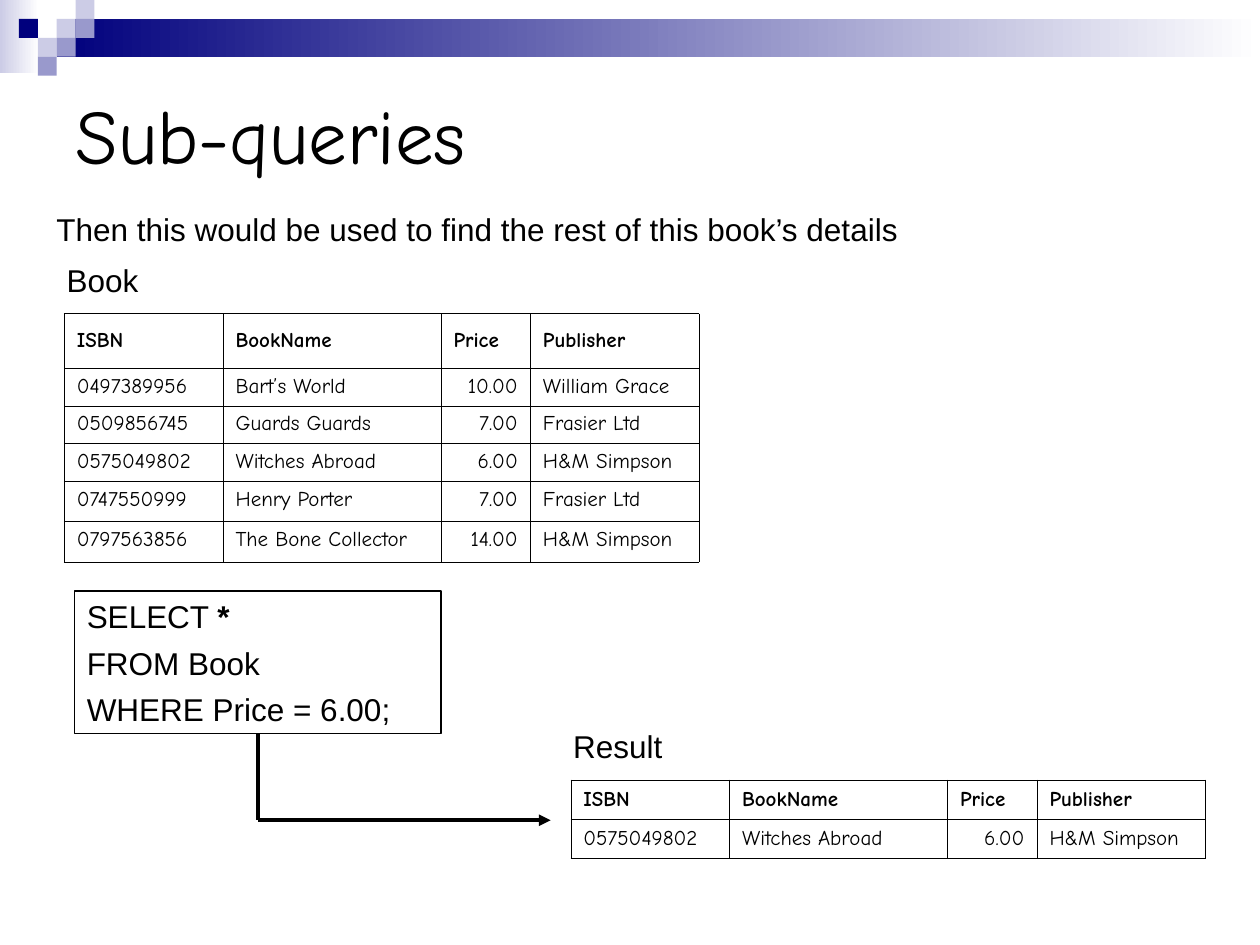
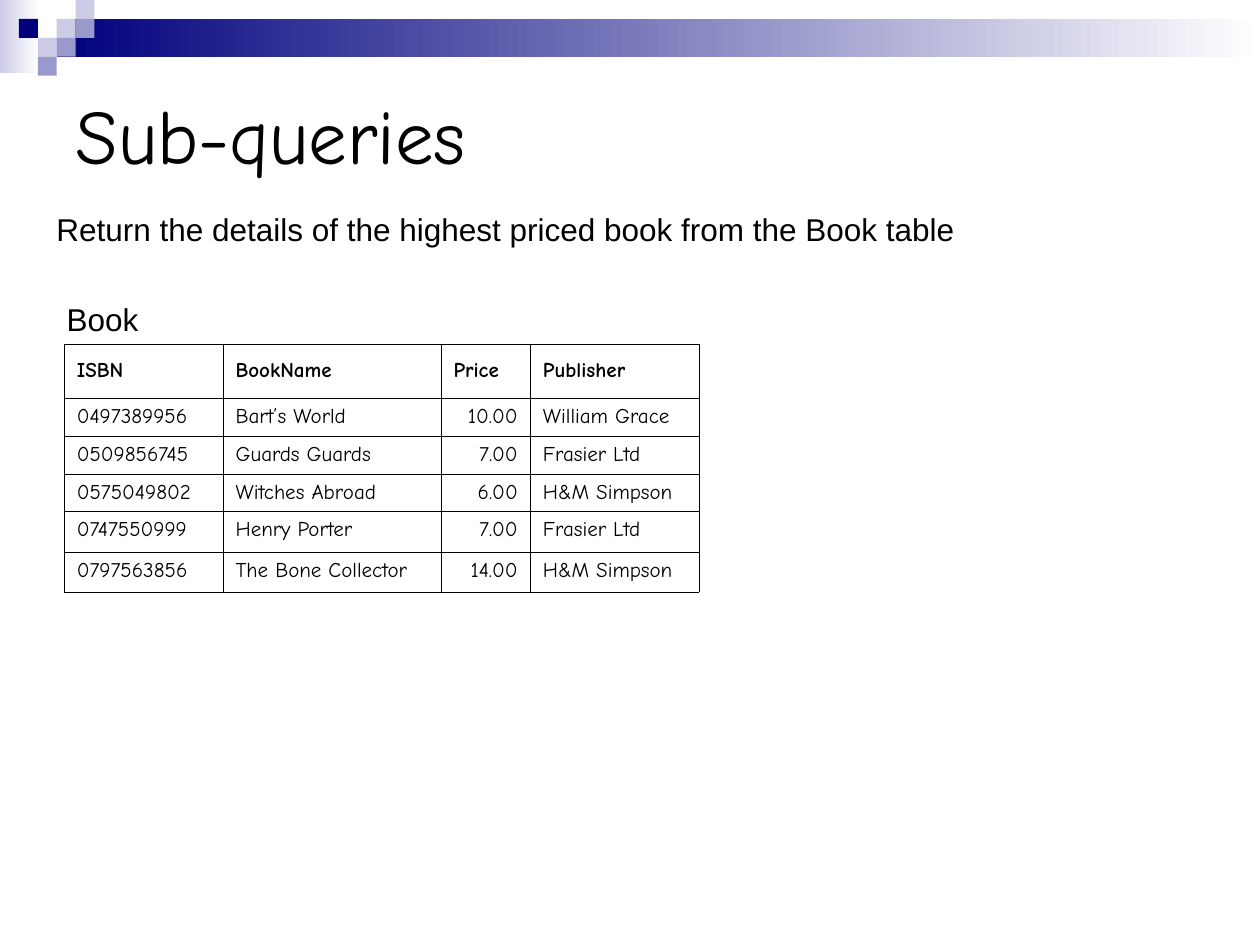
from lxml.etree import SubElement
from pptx import Presentation
from pptx.dml.color import RGBColor
from pptx.enum.shapes import MSO_CONNECTOR, MSO_SHAPE
from pptx.enum.text import MSO_ANCHOR, MSO_AUTO_SIZE, PP_ALIGN
from pptx.oxml.ns import qn
from pptx.util import Inches, Pt

COLORS = {"text": "000000", "paper": "FFFFFF", "navy": "00007D",
          "violet": "9999CC", "lilac": "CCCCE6"}
BODY_FONT, COMIC_FONT = "Arial", "Comic Neue"
TILE = 0.15
# Column, row and colour of each tile in the corner
TILES = [(3, 1, "lilac"), (4, 0, "lilac"), (4, 1, "violet"), (2, 2, "lilac"),
         (1, 1, "navy"), (3, 2, "violet"), (2, 3, "violet")]

HEADER = ["ISBN", "BookName", "Price", "Publisher"]
BOOKS = [
    ["0497389956", "Bart’s World", "10.00", "William Grace"],
    ["0509856745", "Guards Guards", "7.00", "Frasier Ltd"],
    ["0575049802", "Witches Abroad", "6.00", "H&M Simpson"],
    ["0747550999", "Henry Porter", "7.00", "Frasier Ltd"],
    ["0797563856", "The Bone Collector", "14.00", "H&M Simpson"],
]
COL_WIDTHS = [1.26, 1.73, 0.71, 1.34]
BOOK_ROWS = [0.43, 0.3, 0.3, 0.3, 0.32, 0.32]
RESULT_ROWS = [0.31, 0.31]


def rgb(name):
    return RGBColor.from_string(COLORS[name])


def write(tf, *lines, size=18, font=BODY_FONT, bold=False,
          align=PP_ALIGN.LEFT, gap=0, anchor=MSO_ANCHOR.TOP):
    """Fill a text frame; a line is a string or a list of (text, bold) runs."""
    tf.word_wrap = True
    tf.vertical_anchor = anchor
    for i, line in enumerate(lines):
        p = tf.paragraphs[0] if i == 0 else tf.add_paragraph()
        p.alignment = align
        if i:
            p.space_before = Pt(gap)
        for text, strong in [(line, bold)] if isinstance(line, str) else line:
            r = p.add_run()
            r.text = text
            r.font.name, r.font.size, r.font.bold = font, Pt(size), strong
            r.font.color.rgb = rgb("text")


class Deck:
    def __init__(self):
        self.prs = Presentation()
        self.prs.slide_width, self.prs.slide_height = Inches(10), Inches(7.5)
        self.s = None

    def slide(self, title):
        self.s = self.prs.slides.add_slide(self.prs.slide_layouts[5])
        # Gradient bands and tiles
        self.rect(0, 0, 0.31, 0.58, fill=("lilac", "paper"))
        self.rect(3 * TILE, TILE, 9.55, 2 * TILE, fill=("navy", "paper"))
        for col, row, color in TILES:
            self.rect(col * TILE, row * TILE, TILE, TILE, fill=(color,))
        # Title
        sp = self.s.shapes.title
        sp.left, sp.top = Inches(0.5), Inches(0.5)
        sp.width, sp.height = Inches(9), Inches(1.12)
        sp.text_frame.auto_size = MSO_AUTO_SIZE.NONE
        write(sp.text_frame, title, size=44, font=COMIC_FONT,
              anchor=MSO_ANCHOR.MIDDLE)

    def rect(self, x, y, w, h, fill=(), line=None):
        sp = self.s.shapes.add_shape(MSO_SHAPE.RECTANGLE, Inches(x), Inches(y),
                                     Inches(w), Inches(h))
        sp.shadow.inherit = False
        if len(fill) == 2:
            sp.fill.gradient()
            sp.fill.gradient_angle = 0
            for stop, color in zip(sp.fill.gradient_stops, fill):
                stop.color.rgb = rgb(color)
        elif fill:
            sp.fill.solid()
            sp.fill.fore_color.rgb = rgb(fill[0])
        else:
            sp.fill.background()
        if line:
            sp.line.color.rgb = rgb("text")
            sp.line.width = Pt(line)
        else:
            sp.line.fill.background()
        return sp

    def label(self, text, x, y, w):
        sp = self.s.shapes.add_textbox(Inches(x), Inches(y), Inches(w),
                                       Inches(0.4))
        write(sp.text_frame, text)

    def line(self, start, end, arrow=False):
        sp = self.s.shapes.add_connector(MSO_CONNECTOR.STRAIGHT,
                                         *map(Inches, start + end))
        sp.line.color.rgb = rgb("text")
        sp.line.width = Pt(2.25)
        if arrow:
            SubElement(sp.line._get_or_add_ln(), qn("a:tailEnd"),
                       type="triangle")
        SubElement(sp._element.spPr, qn("a:effectLst"))
        return sp

    def table(self, rows, x, y, heights, body_anchor=MSO_ANCHOR.TOP):
        table = self.s.shapes.add_table(
            len(rows), len(COL_WIDTHS), Inches(x), Inches(y),
            Inches(sum(COL_WIDTHS)), Inches(sum(heights))).table
        table.first_row = table.horz_banding = False
        for column, width in zip(table.columns, COL_WIDTHS):
            column.width = Inches(width)
        for i, (values, height) in enumerate(zip(rows, heights)):
            table.rows[i].height = Inches(height)
            for j, value in enumerate(values):
                self.cell(table.cell(i, j), value, header=i == 0,
                          number=i > 0 and HEADER[j] == "Price",
                          anchor=body_anchor if i else MSO_ANCHOR.MIDDLE)

    def cell(self, cell, value, header, number, anchor):
        write(cell.text_frame, value, size=12, font=COMIC_FONT, bold=header,
              align=PP_ALIGN.RIGHT if number else PP_ALIGN.LEFT)
        cell.vertical_anchor = anchor
        tcPr = cell._tc.get_or_add_tcPr()
        for side in ("lnL", "lnR", "lnT", "lnB"):
            ln = SubElement(tcPr, qn(f"a:{side}"), w=str(Pt(0.34)))
            fill = SubElement(ln, qn("a:solidFill"))
            SubElement(fill, qn("a:srgbClr"), val=COLORS["text"])
        if header:
            cell.fill.background()
        else:
            cell.fill.solid()
            cell.fill.fore_color.rgb = rgb("paper")


def query_slide(deck):
    deck.slide("Sub-queries")
    deck.label("Then this would be used to find the rest of this book’s details",
               0.35, 1.62, 9.37)
    # Query box
    x, y, w, h = 0.59, 4.69, 2.91, 1.13
    query = deck.rect(x, y, w, h, line=0.75)
    write(query.text_frame, [("SELECT ", False), ("*", True)], "FROM Book",
          "WHERE Price = 6.00;", gap=5)
    # Arrow from the query to its result
    corner = (x + w / 2, 6.51)
    deck.line((x + w / 2, y + h), corner).begin_connect(query, 2)
    deck.line(corner, (4.37, 6.51), arrow=True)
    # Book and result tables
    deck.label("Book", 0.43, 2.02, 2.91)
    deck.label("Result", 4.45, 5.72, 1.18)
    deck.table([HEADER] + BOOKS, 0.51, 2.49, BOOK_ROWS)
    deck.table([HEADER, BOOKS[2]], 4.53, 6.19, RESULT_ROWS,
               body_anchor=MSO_ANCHOR.MIDDLE)


def task_slide(deck):
    deck.slide("Sub-queries")
    deck.label("Return the details of the highest priced book from the Book table",
               0.35, 1.62, 9.37)
    deck.label("Book", 0.43, 2.33, 2.91)
    deck.table([HEADER] + BOOKS, 0.51, 2.73, BOOK_ROWS)


def main():
    deck = Deck()
    query_slide(deck)
    task_slide(deck)
    deck.prs.save("out.pptx")


if __name__ == "__main__":
    main()
